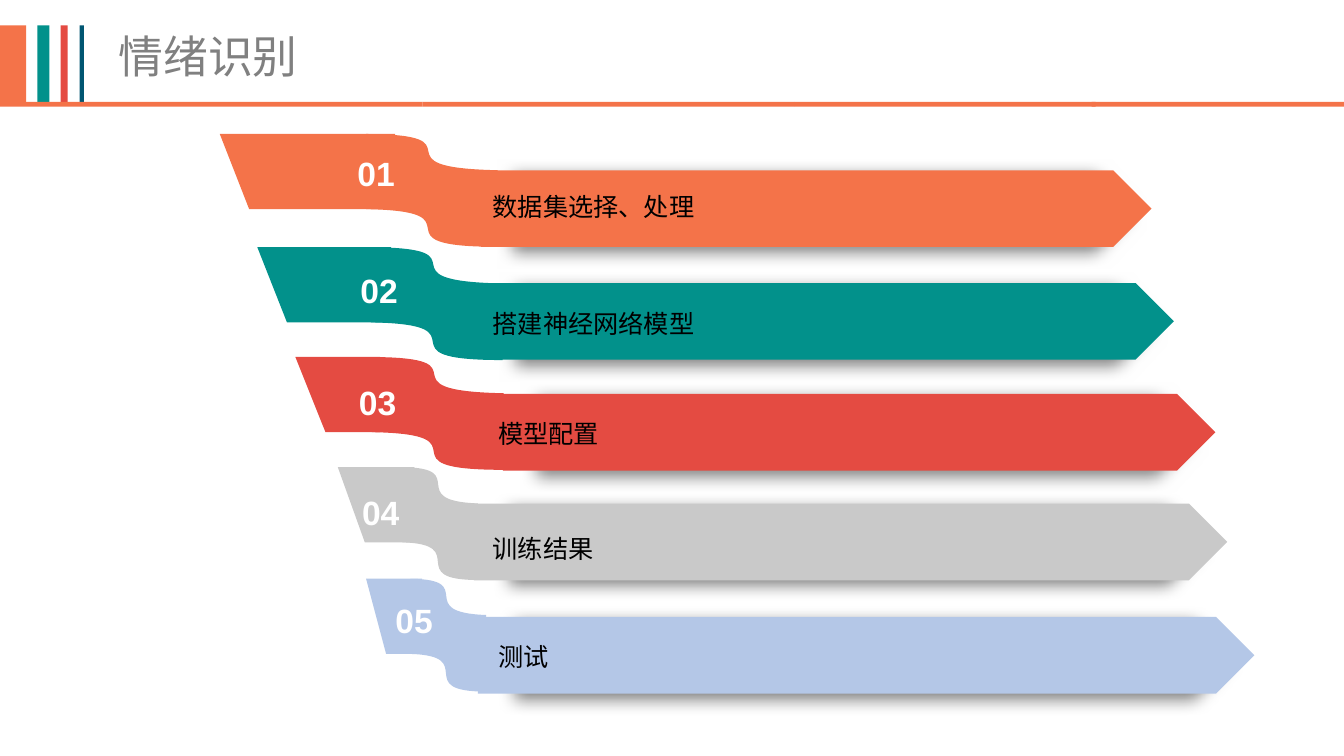
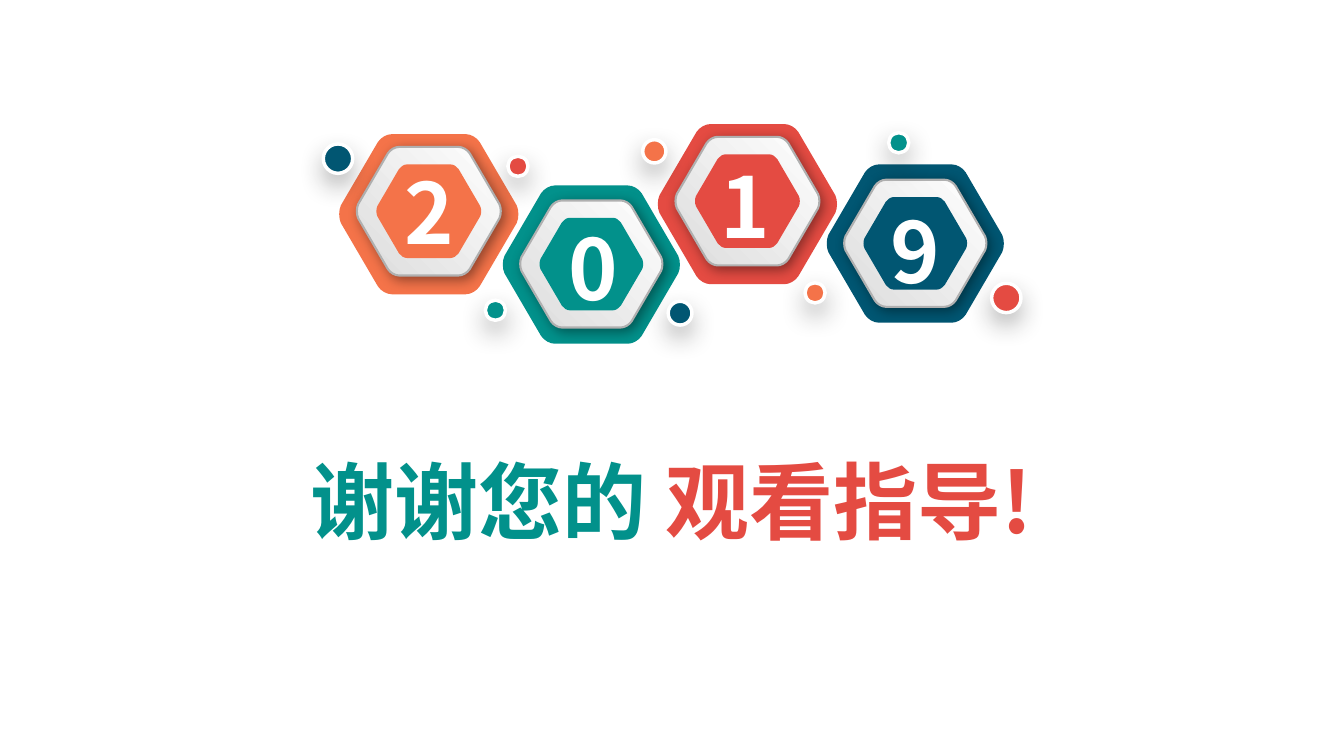
from lxml import etree
from pptx import Presentation
from pptx.dml.color import RGBColor
from pptx.enum.shapes import MSO_SHAPE as SHAPE
from pptx.enum.text import MSO_ANCHOR as ANCHOR, MSO_AUTO_SIZE as AUTO, PP_ALIGN as ALIGN
from pptx.oxml.ns import qn
from pptx.util import Pt

COLORS = {
    "orange": "F47349", "teal": "02918B", "red": "E44B42", "navy": "015672",
    "silver": "C9C9C9", "sky": "B4C7E7", "title": "808080", "black": "000000",
    "white": "FFFFFF", "pale": "DCDCDC", "edge": "B0B0B0", "dusk": "262626",
}
CJK, LATIN = "Noto Sans CJK SC", "Arial"

# colour, opacity %, blur, distance, direction in degrees, horizontal scale %
PLATE_SHADOW = ("black", 50, 12, 5, 45, 92)
RING_SHADOW = ("black", 40, 9, 3, 45, 100)
DOT_SHADOW = ("dusk", 33, 18, 8, 90, 100)

TITLE = "情绪识别"
STRIPES = [("orange", 0, 18.7), ("teal", 26.8, 8.5), ("red", 43.4, 5), ("navy", 56.9, 3)]
STRIPE_TOP, STRIPE_HEIGHT = 18.2, 54.6
RULE_PARTS = [(0, 301.7), (301.7, 265.6), (567.3, 215.3), (779.8, 180.2)]
RULE_TOP, RULE_HEIGHT = 72.7, 3.5

# label, colour, top, tab (left, foot, right), bend (left, width),
# plate (left, top, tip), number (left, top), label (left, top)
STEPS = [
    ("数据集选择、处理", "orange", 95.7, (157, 178, 282.3), (261.5, 94),
     (343.5, 121.7, 822.6), (241.4, 106), (344.9, 132.9)),
    ("搭建神经网络模型", "teal", 176.6, (183.8, 205, 279.4), (265, 94),
     (344.9, 202.2, 838.5), (243.5, 189.6), (344.9, 216.9)),
    ("模型配置", "red", 255, (211, 232.5, 271.5), (265.7, 94),
     (359.2, 281.4, 868.2), (242.5, 269.4), (348.7, 295)),
    ("训练结果", "silver", 333.7, (241.3, 260.6, 296), (287.4, 54),
     (338.4, 359.8, 876.6), (244.7, 347.9), (344.9, 377.3)),
    ("测试", "sky", 413.4, (261.5, 275.8, 301.5), (293.2, 54),
     (341.3, 440.7, 896), (268.5, 425), (348.7, 454.4)),
]
TAB_HEIGHT, BEND_DROP, BEND_HEIGHT, PLATE_HEIGHT = 53.7, 25.9, 80.6, 54.7

# digit, colour, centre, outer width, lift of the ring, digit box (left, top)
YEAR = [
    ("2", "orange", (306.3, 153), 128.8, 2.1, (282, 111.4)),
    ("0", "teal", (422.4, 189), 127.3, 0.4, (399.2, 151)),
    ("1", "red", (533.9, 145.8), 128.8, 2.1, (507.4, 107)),
    ("9", "navy", (653.8, 174), 127.3, 0.2, (629.3, 138.9)),
]
HEX_RATIO, RING_SCALE, CORE_SCALE = 0.888, 0.803, 0.585
DOTS = [
    ("red", 708.3, 202.3, 21), ("orange", 575, 202, 14.4), ("orange", 459.1, 99.8, 16.6),
    ("teal", 634.8, 94.8, 14.4), ("navy", 477.3, 215.2, 17), ("red", 362.8, 111.6, 14.4),
    ("teal", 346.7, 214.4, 14.4), ("navy", 230.9, 102.8, 21),
]
THANKS = [("谢谢您的 ", "teal"), ("观看指导!", "red")]


def rgb(color):
    return RGBColor.from_string(COLORS[color])


def add_shadow(shape, color, opacity, blur, distance, angle, scale):
    effects = etree.SubElement(shape._element.spPr, qn("a:effectLst"))
    outer = etree.SubElement(effects, qn("a:outerShdw"), blurRad=str(Pt(blur)),
                             dist=str(Pt(distance)), dir=str(angle * 60000),
                             sx=str(scale * 1000), algn="ctr", rotWithShape="0")
    tint = etree.SubElement(outer, qn("a:srgbClr"), val=COLORS[color])
    etree.SubElement(tint, qn("a:alpha"), val=str(opacity * 1000))


def paint(shape, fill, line=None, shadow=None):
    """Give a shape a colour, or a gradient when fill is a pair; line is (colour, width)."""
    if isinstance(fill, tuple):
        shape.fill.gradient()
        shape.fill.gradient_angle = 45
        for stop, color in zip(shape.fill.gradient_stops, fill):
            stop.color.rgb = rgb(color)
    else:
        shape.fill.solid()
        shape.fill.fore_color.rgb = rgb(fill)
    if line:
        shape.line.color.rgb = rgb(line[0])
        shape.line.width = Pt(line[1])
    else:
        shape.line.fill.background()
    if shadow:
        add_shadow(shape, *shadow)
    else:
        shape.shadow.inherit = False


def add_preset(slide, kind, left, top, width, height, fill, **style):
    paint(slide.shapes.add_shape(kind, Pt(left), Pt(top), Pt(width), Pt(height)), fill, **style)


def add_outline(slide, start, segments, fill, **style):
    """Draw a closed outline; a segment holds one point for a line, three for a curve."""
    builder = slide.shapes.build_freeform(Pt(start[0]), Pt(start[1]))
    builder.add_line_segments([(Pt(x), Pt(y)) for part in segments for x, y in part], close=True)
    shape = builder.convert_to_shape()
    lines = iter(list(shape._element.iter(qn("a:lnTo"))))
    for part in segments:
        first, *others = [next(lines) for _ in part]
        if others:
            curve = etree.Element(qn("a:cubicBezTo"))
            first.addprevious(curve)
            for piece in (first, *others):
                curve.append(piece[0])
                piece.getparent().remove(piece)
    paint(shape, fill, **style)


def add_text(slide, left, top, width, height, runs, size, font=CJK, bold=False,
             align=ALIGN.LEFT, anchor=ANCHOR.TOP):
    box = slide.shapes.add_textbox(Pt(left), Pt(top), Pt(width), Pt(height))
    frame = box.text_frame
    settings = {"word_wrap": True, "auto_size": AUTO.NONE, "vertical_anchor": anchor}
    for key, value in settings.items():
        setattr(frame, key, value)
    paragraph = frame.paragraphs[0]
    paragraph.alignment = align
    for text, color in runs:
        run = paragraph.add_run()
        run.text = text
        for key, value in {"size": Pt(size), "bold": bold, "name": font}.items():
            setattr(run.font, key, value)
        run.font.color.rgb = rgb(color)
        etree.SubElement(run.font._element, qn("a:ea"), typeface=font)


def add_hexagon(slide, center, width, fill, **style):
    """Rounded hexagon: three corners, then the same three turned by 180 degrees."""
    upper = [(0.41, -1), (0.465, -1), (0.53, -0.96), (0.565, -0.9)]
    side = [(0.975, -0.11), (1, -0.05), (1, 0.05), (0.975, 0.11)]
    lower = [(x, -y) for x, y in reversed(upper)]
    half = [upper, side, lower]
    corners = half + [[(-x, -y) for x, y in corner] for corner in half]
    radius_x, radius_y = width / 2, width * HEX_RATIO / 2
    placed = [[(center[0] + x * radius_x, center[1] + y * radius_y) for x, y in corner]
              for corner in corners]
    segments = [part for corner in placed for part in (corner[:1], corner[1:])]
    add_outline(slide, placed[0][0], segments[1:], fill, **style)


def add_bend(slide, left, top, width, fill):
    """S-shaped band that leads from a tab down to its plate."""
    def at(x, y):
        return left + x * width, top + y
    add_outline(slide, at(0, 0), [
        [at(0, TAB_HEIGHT)],
        [at(0.91, 55.2), at(0.01, BEND_HEIGHT), at(1, BEND_HEIGHT)],
        [at(1, BEND_DROP)],
        [at(0.02, 24), at(0.91, 0.5), at(0, 0)],
    ], fill)


def add_header(slide, title):
    add_text(slide, 77.6, 17, 368.5, 46, [(title, "title")], 32)
    for color, left, width in STRIPES:
        add_preset(slide, SHAPE.RECTANGLE, left, STRIPE_TOP, width, STRIPE_HEIGHT, color)
    for left, width in RULE_PARTS:
        add_preset(slide, SHAPE.RECTANGLE, left, RULE_TOP, width, RULE_HEIGHT, "orange")


def build_steps(slide):
    add_header(slide, TITLE)
    for number, step in enumerate(STEPS, 1):
        label, color, top, tab, curve, plate, number_at, label_at = step
        left, foot, right = tab
        plate_left, plate_top, tip = plate
        base = top + TAB_HEIGHT
        add_outline(slide, (left, top), [[(right, top)], [(right, base)], [(foot, base)]], color)
        add_preset(slide, SHAPE.PENTAGON, plate_left, plate_top, tip - plate_left,
                   PLATE_HEIGHT, color, shadow=PLATE_SHADOW)
        add_bend(slide, curve[0], top, curve[1], color)
        add_text(slide, *number_at, 54.5, 36, [(f"{number:02}", "white")], 24,
                 font=LATIN, bold=True, align=ALIGN.CENTER)
        add_text(slide, *label_at, 442, 29, [(label, "black")], 18)


def build_thanks(slide):
    for digit, color, (x, y), width, lift, digit_at in YEAR:
        lifted = (x, y - lift)
        add_hexagon(slide, (x, y), width, color)
        add_hexagon(slide, lifted, width * RING_SCALE, ("pale", "white"),
                    line=("edge", 1.5), shadow=RING_SHADOW)
        add_hexagon(slide, lifted, width * CORE_SCALE, color)
        add_text(slide, *digit_at, 50, 80, [(digit, "white")], 60, bold=True)
    for color, left, top, size in DOTS:
        add_preset(slide, SHAPE.OVAL, left, top, size, size, color,
                   line=("white", 2.5), shadow=DOT_SHADOW)
    add_text(slide, 121.5, 332, 717, 50.5, THANKS, 60, bold=True,
             align=ALIGN.CENTER, anchor=ANCHOR.MIDDLE)


def main():
    deck = Presentation()
    deck.slide_width, deck.slide_height = Pt(960), Pt(540)
    for build in (build_steps, build_thanks):
        build(deck.slides.add_slide(deck.slide_layouts[6]))
    deck.save("out.pptx")


if __name__ == "__main__":
    main()
